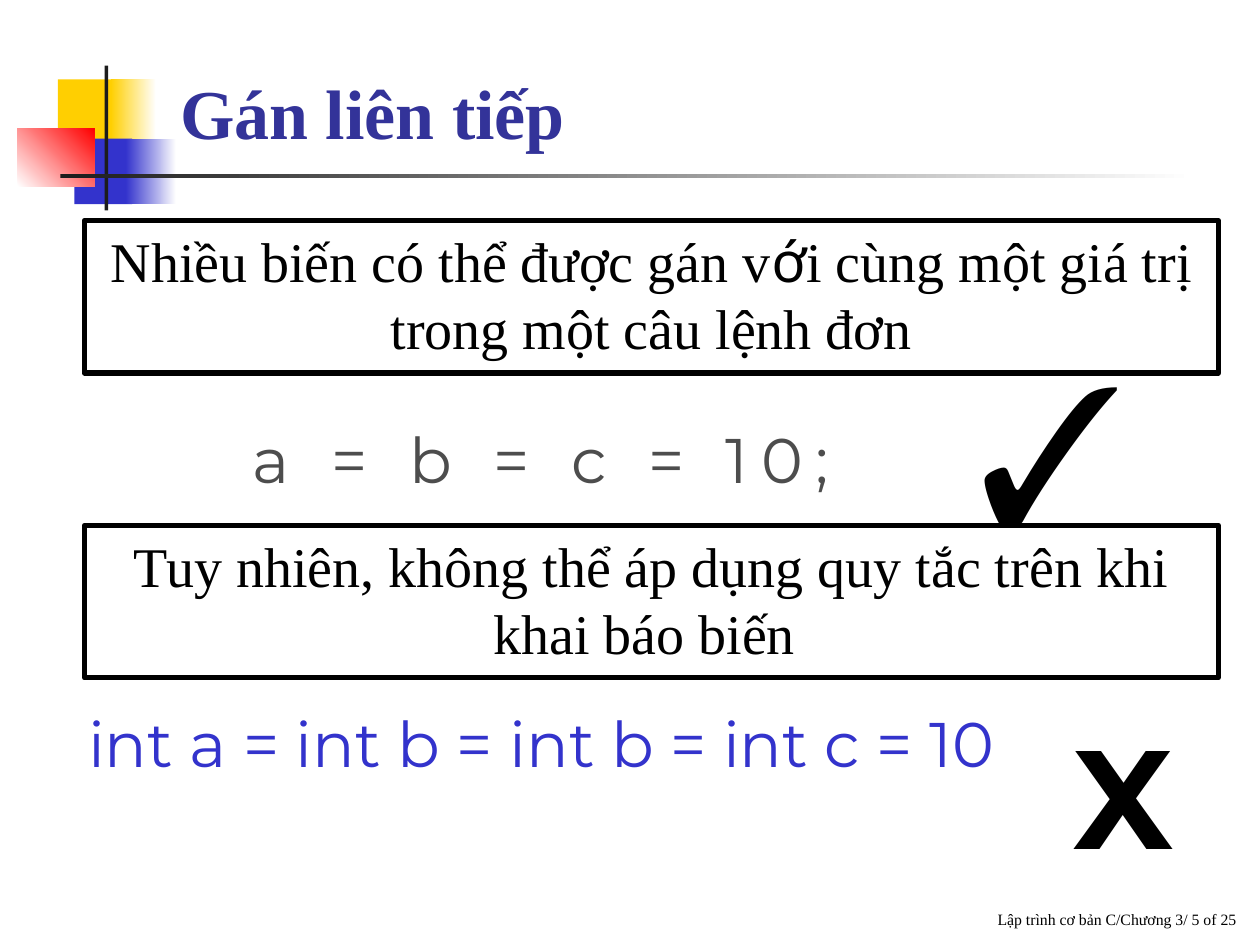
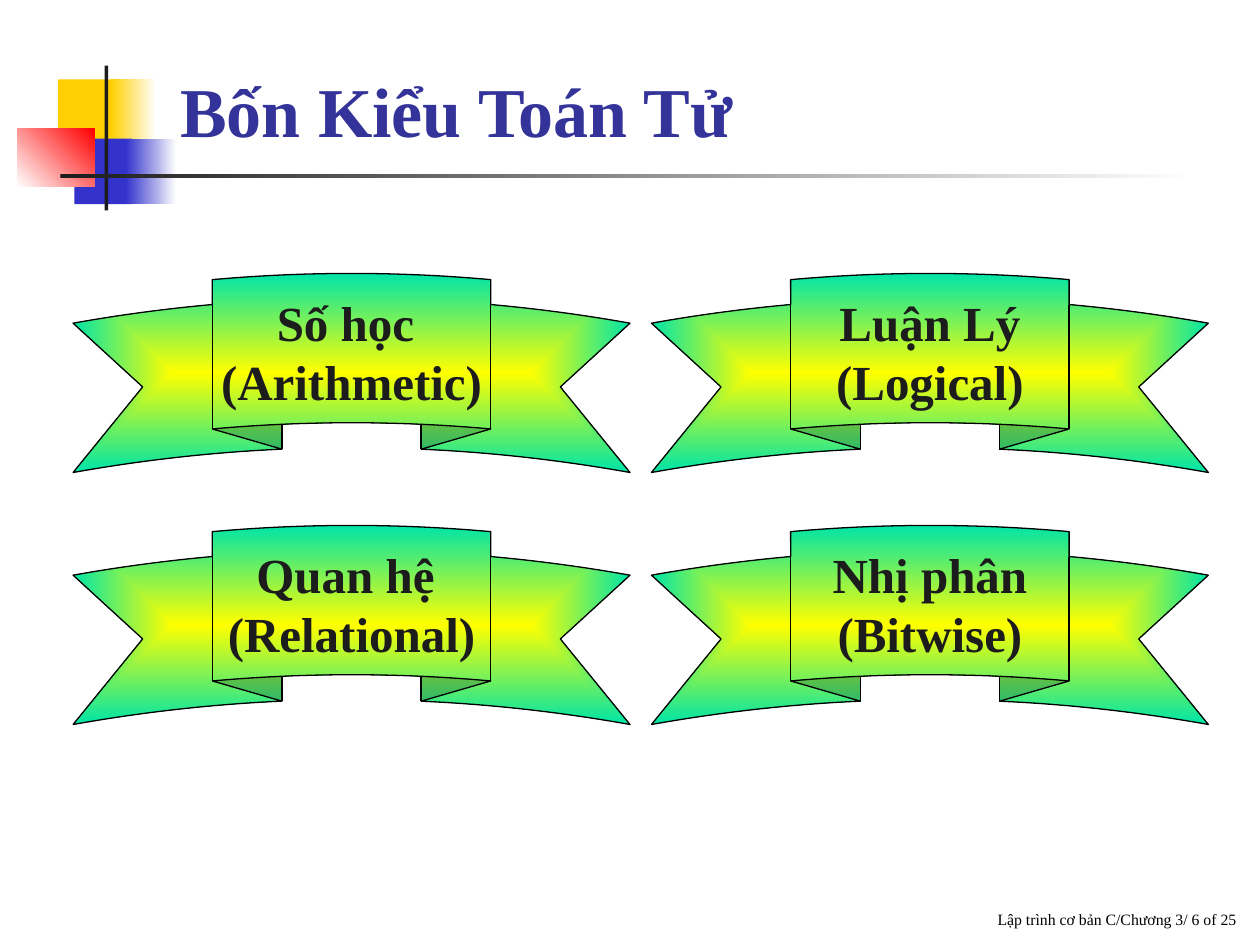
from lxml.etree import SubElement
from pptx import Presentation
from pptx.dml.color import RGBColor
from pptx.enum.shapes import MSO_SHAPE
from pptx.enum.text import MSO_ANCHOR, MSO_AUTO_SIZE, PP_ALIGN
from pptx.oxml.ns import qn
from pptx.util import Inches, Pt

SERIF, SANS = "Times New Roman", "Montserrat"
BLACK, WHITE, DARK = "000000", "FFFFFF", "1C1C1C"
YELLOW, BLUE, RED, TITLE_BLUE, GREY = "FFCF01", "3333CC", "FF0000", "333399", "4D4D4D"
RIBBON_CENTRE, RIBBON_EDGE = "FFFF00", "00E4A8"


def paint(shape, colours, angle=0):
    """Fill with one colour, or with a gradient between two."""
    shape.shadow.inherit = False
    if len(colours) == 1:
        shape.fill.solid()
        shape.fill.fore_color.rgb = RGBColor.from_string(colours[0])
        return
    shape.fill.gradient()
    shape.fill.gradient_angle = angle
    for stop, colour in zip(shape.fill.gradient_stops, colours):
        stop.color.rgb = RGBColor.from_string(colour)


def write(shape, text, size, colour, font=SERIF, align=PP_ALIGN.CENTER,
          anchor=MSO_ANCHOR.TOP, wrap=True, bold=False, spacing=0):
    """Set the text of a shape, one paragraph a line, and format its runs."""
    frame = shape.text_frame
    frame.text = text
    frame.auto_size = MSO_AUTO_SIZE.NONE
    frame.word_wrap = wrap
    frame.vertical_anchor = anchor
    for paragraph in frame.paragraphs:
        paragraph.alignment = align
        for run in paragraph.runs:
            run.font.size = Pt(size)
            run.font.name = font
            run.font.bold = bold
            run.font.color.rgb = RGBColor.from_string(colour)
            if spacing:
                run.font._element.set("spc", str(int(spacing * 100)))


deck = Presentation()
deck.slide_width, deck.slide_height = Inches(10), Inches(7.5)

# Shared emblem: left, top, width, height, colours, angle
emblem = [
    (0.46, 0.63, 0.48, 0.52, [YELLOW], 0),
    (0.88, 0.63, 0.36, 0.52, [YELLOW, WHITE], 0),
    (0.59, 1.1, 0.46, 0.52, [BLUE], 0),
    (1, 1.1, 0.4, 0.52, [BLUE, WHITE], 0),
    (0.14, 1.02, 0.61, 0.46, [WHITE, RED], 45),
    (0.83, 0.52, 0.03, 1.15, [DARK], 0),
    (0.48, 1.38, 9, 0.03, [DARK, WHITE], 0),
]

# Title text, place and page number of each slide
headings = [
    ("Gán liên tiếp", (1.33, 0.5, 4.78, 0.77), 5),
    ("Bốn Kiểu Toán Tử", (1.33, 0.33, 6.88, 0.92), 6),
]

slides = []
for heading, place, page in headings:
    slide = deck.slides.add_slide(deck.slide_layouts[5])
    slides.append(slide)
    for *area, colours, angle in emblem:
        block = slide.shapes.add_shape(MSO_SHAPE.RECTANGLE, *map(Inches, area))
        paint(block, colours, angle)
        block.line.fill.background()

    title = slide.shapes.title
    title.left, title.top, title.width, title.height = map(Inches, place)
    write(title, heading, 40, TITLE_BLUE, align=PP_ALIGN.LEFT,
          anchor=MSO_ANCHOR.BOTTOM, bold=True)

    footer = slide.shapes.add_textbox(Inches(3.83), Inches(6.92), Inches(6.08), Inches(0.5))
    write(footer, f"Lập trình cơ bản C/Chương 3/ {page} of 25", 9, BLACK,
          align=PP_ALIGN.RIGHT, anchor=MSO_ANCHOR.BOTTOM)

assignment, operators = slides

# Assignment slide: code samples and their marks
samples = [
    ("a = b = c = 10;", (1.17, 3.29, 6.25, 0.71),
     dict(size=36, colour=GREY, font=SANS, wrap=False, spacing=7.2)),
    ("✓", (7.67, 2.58, 1.61, 1.93),
     dict(size=110, colour=BLACK, align=PP_ALIGN.LEFT)),
    ("int a = int b = int b = int c = 10", (0.67, 5.54, 7.25, 0.71),
     dict(size=36, colour=BLUE, font=SANS, wrap=False)),
    ("X", (8.5, 5.58, 0.83, 0.67),
     dict(size=80, colour=BLACK, font=SANS, wrap=False, bold=True, spacing=16)),
]
for text, place, style in samples:
    sample = assignment.shapes.add_textbox(*map(Inches, place))
    write(sample, text, **style)

# Assignment slide: framed rules, above the check mark
rules = [
    (1.75, "Nhiều biến có thể được gán với cùng một giá trị trong một câu lệnh đơn"),
    (4.17, "Tuy nhiên, không thể áp dụng quy tắc trên khi khai báo biến "),
]
for top, text in rules:
    rule = assignment.shapes.add_shape(MSO_SHAPE.RECTANGLE, Inches(0.67), Inches(top),
                                       Inches(9), Inches(1.21))
    paint(rule, [WHITE])
    rule.line.color.rgb = RGBColor.from_string(BLACK)
    rule.line.width = Pt(3)
    write(rule, text, 32, BLACK)
    # One letter is set in another font
    if "ớ" in text:
        before, after = text.split("ớ")
        paragraph = rule.text_frame.paragraphs[0]
        paragraph.runs[0].text = before
        for part, font in (("ớ", "Karla"), (after, SERIF)):
            run = paragraph.add_run()
            run.text = part
            run.font.name = font
            run.font.size = Pt(32)
            run.font.color.rgb = RGBColor.from_string(BLACK)

# Operators slide: two by two ribbons
operator_kinds = [
    ["Số học \n(Arithmetic)", "Luận Lý\n(Logical)"],
    ["Quan hệ \n(Relational)", "Nhị phân\n(Bitwise)"],
]
for row, kinds in enumerate(operator_kinds):
    for column, kind in enumerate(kinds):
        ribbon = operators.shapes.add_shape(
            MSO_SHAPE.CURVED_UP_RIBBON, Inches(0.58 + 4.59 * column),
            Inches(2.17 + 2 * row), Inches(4.42), Inches(1.58))
        paint(ribbon, [RIBBON_CENTRE, RIBBON_EDGE])
        # Run the gradient from the centre outwards
        gradient = ribbon._element.spPr.find(qn("a:gradFill"))
        gradient.remove(gradient.find(qn("a:lin")))
        outward = SubElement(gradient, qn("a:path"), path="rect")
        SubElement(outward, qn("a:fillToRect"), l="50000", t="50000", r="50000", b="50000")
        ribbon.line.color.rgb = RGBColor.from_string(BLACK)
        ribbon.line.width = Pt(0.75)
        write(ribbon, kind, 28, DARK, anchor=MSO_ANCHOR.MIDDLE, wrap=False, bold=True)

deck.save("out.pptx")
